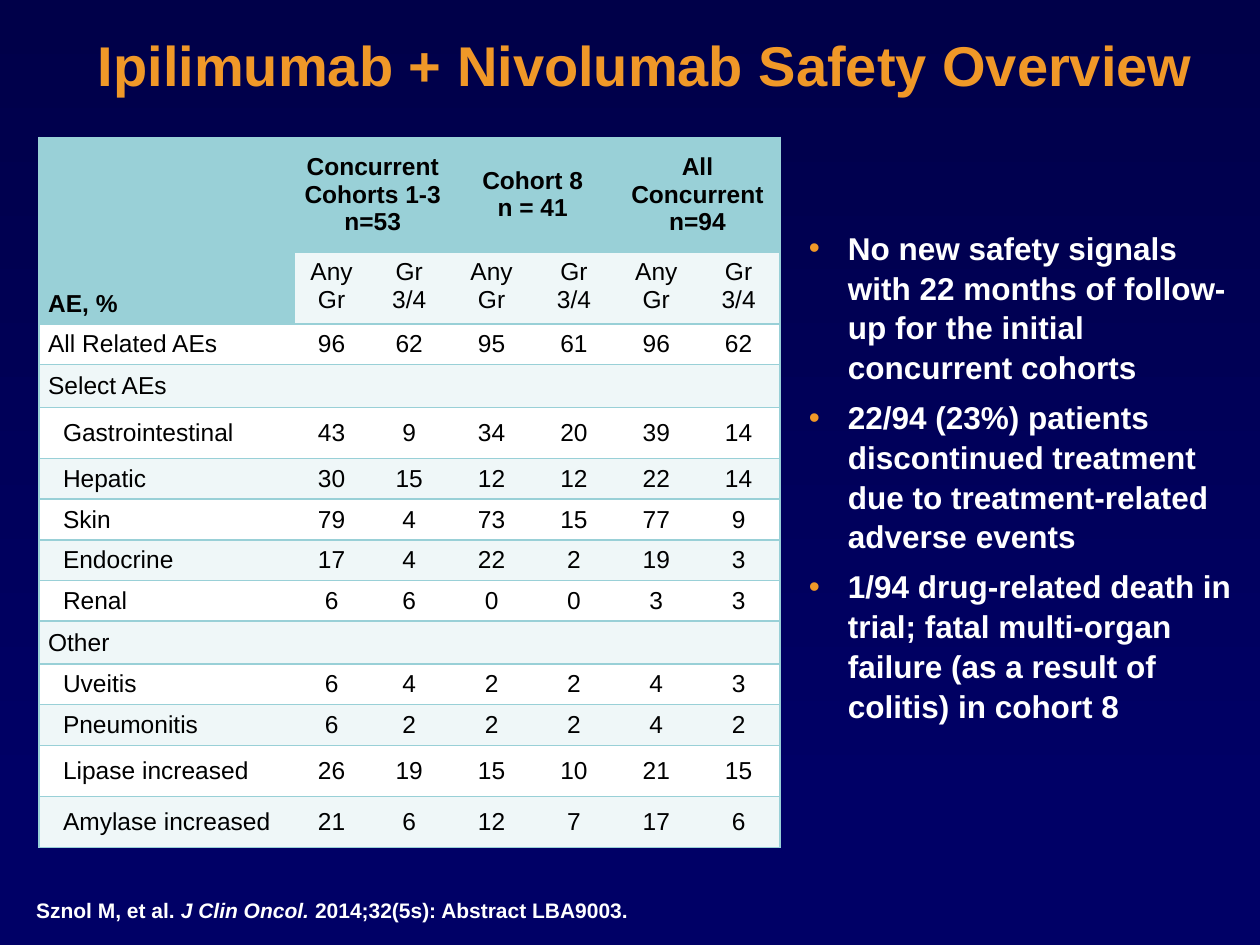
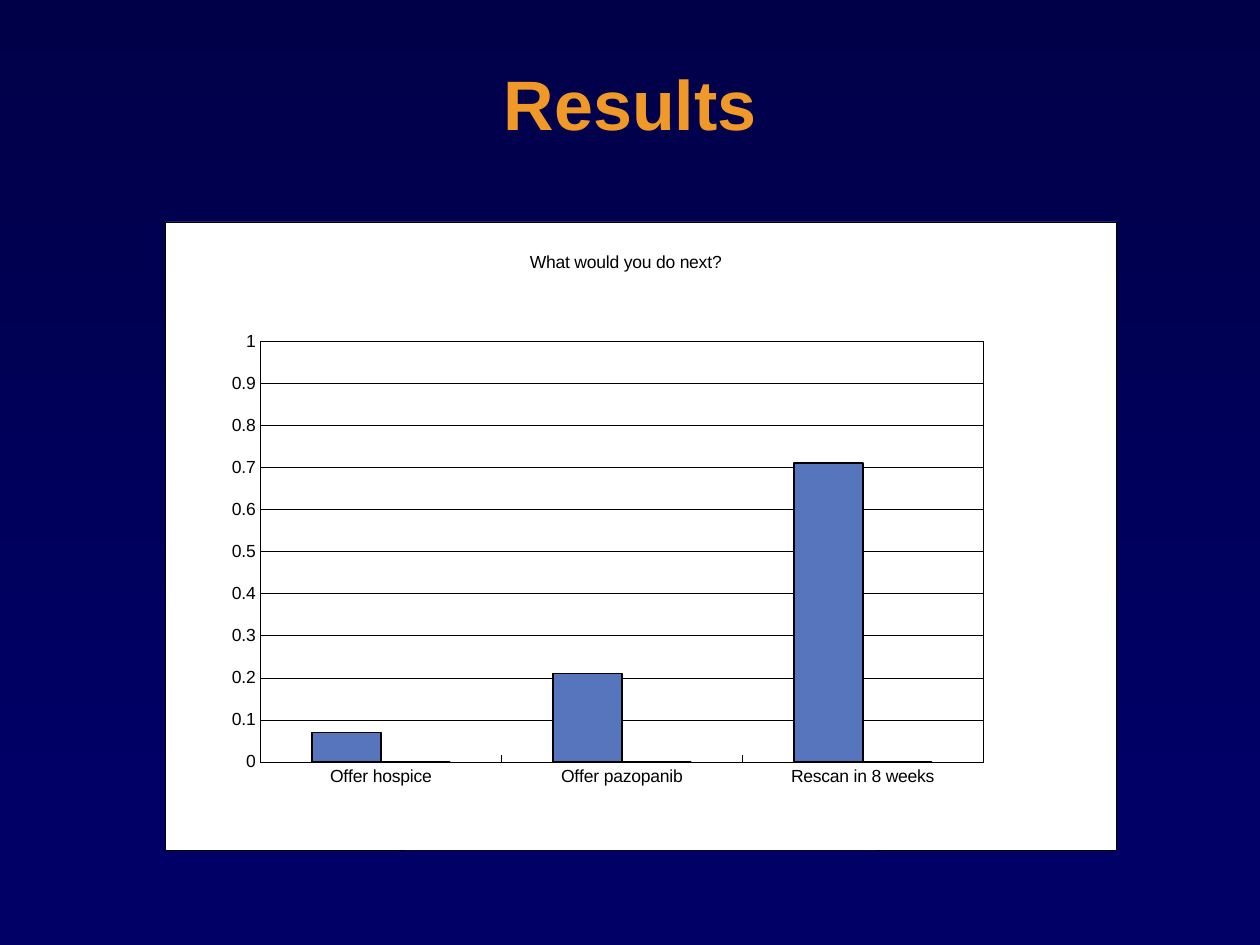
"""Build two slides: a safety table with key points, and a poll result chart."""
from dataclasses import dataclass
from pptx import Presentation
from pptx.chart.data import CategoryChartData
from pptx.dml.color import RGBColor
from pptx.enum.chart import XL_CHART_TYPE, XL_TICK_MARK
from pptx.enum.shapes import MSO_SHAPE
from pptx.enum.text import MSO_ANCHOR, MSO_AUTO_SIZE, PP_ALIGN
from pptx.oxml import parse_xml
from pptx.oxml.ns import nsdecls, qn
from pptx.util import Cm, Pt

CENTER, LEFT = PP_ALIGN.CENTER, PP_ALIGN.LEFT
TOP, MIDDLE, BOTTOM = MSO_ANCHOR.TOP, MSO_ANCHOR.MIDDLE, MSO_ANCHOR.BOTTOM
NO_FIT = MSO_AUTO_SIZE.NONE
COLUMN = XL_CHART_TYPE.COLUMN_CLUSTERED
INSIDE, NO_TICK = XL_TICK_MARK.INSIDE, XL_TICK_MARK.NONE
RECT = MSO_SHAPE.RECTANGLE


@dataclass(frozen=True)
class Theme:
    font: str = "Arial"
    navy: str = "000066"
    dark: str = "000049"
    gold: str = "F09828"
    white: str = "FFFFFF"
    black: str = "000000"
    teal: str = "99D0D7"
    pale: str = "EFF7F8"
    blue: str = "5775BD"
    green: str = "91C642"
    title: int = 32
    big: int = 40
    body: int = 18
    cell: int = 14
    cite: int = 12
    chart: int = 10


T = Theme()

SAFETY = "Ipilimumab + Nivolumab Safety Overview"
POINTS = [
    "No new safety signals with 22 months of follow-up for the initial concurrent cohorts",
    "22/94 (23%) patients discontinued treatment due to treatment-related adverse events",
    "1/94 drug-related death in trial; fatal multi-organ failure (as a result of colitis) in cohort 8",
]
CITE = [("Sznol M, et al. ", False), ("J Clin Oncol. ", True),
        ("2014;32(5s): Abstract LBA9003.", False)]
CORNER = "AE, %"
GROUPS = ["Concurrent\vCohorts 1-3\vn=53", "Cohort 8\vn = 41", "All Concurrent\vn=94"]
GRADES = ["Any Gr", "Gr 3/4"]
EVENTS = [
    ("All Related AEs", [96, 62, 95, 61, 96, 62]),
    ("Select AEs", []),
    ("Gastrointestinal", [43, 9, 34, 20, 39, 14]),
    ("Hepatic", [30, 15, 12, 12, 22, 14]),
    ("Skin", [79, 4, 73, 15, 77, 9]),
    ("Endocrine", [17, 4, 22, 2, 19, 3]),
    ("Renal", [6, 6, 0, 0, 3, 3]),
    ("Other", []),
    ("Uveitis", [6, 4, 2, 2, 4, 3]),
    ("Pneumonitis", [6, 2, 2, 2, 4, 2]),
    ("Lipase increased", [26, 19, 15, 10, 21, 15]),
    ("Amylase increased", [21, 6, 12, 7, 17, 6]),
]
FLUSH = {"All Related AEs", "Select AEs", "Other"}
TALL = {"Gastrointestinal", "Lipase increased", "Amylase increased"}

RESULTS = "Results"
POLL = "What would you do next?"
CHOICES = ["Offer hospice", "Offer pazopanib", "Rescan in 8 weeks"]
SERIES = [("Series 1", [0.07, 0.21, 0.71], T.blue), ("Series 2", [0, 0, 0], T.green)]

NO_GRID = "{2D5ABB26-0587-4C30-8999-92F81FD0307C}"


def rgb(code):
    return RGBColor.from_string(code)


def style(font, size, color, bold=False):
    font.name, font.size, font.bold = T.font, Pt(size), bold
    font.color.rgb = rgb(color)


def move(shape, box):
    shape.left, shape.top, shape.width, shape.height = map(Cm, box)


def solid(color):
    return f'<a:solidFill><a:srgbClr val="{color}"/></a:solidFill>'


def add_back(prs, slide):
    prs.slide_master.background.fill.solid()
    prs.slide_master.background.fill.fore_color.rgb = rgb(T.navy)
    band = slide.shapes.add_shape(RECT, 0, 0, prs.slide_width, Cm(16.3))
    band.shadow.inherit = False
    band.line.fill.background()
    band.fill.gradient()
    band.fill.gradient_angle = 270
    for stop, color in zip(band.fill.gradient_stops, (T.dark, T.navy)):
        stop.color.rgb = rgb(color)
    prs.slide_master.shapes._spTree.insert(2, band._element)


def set_title(slide, text, size, box):
    title = slide.shapes.title
    move(title, box)
    frame = title.text_frame
    frame.text = text
    frame.auto_size, frame.vertical_anchor = NO_FIT, MIDDLE
    para = frame.paragraphs[0]
    para.alignment, para.line_spacing = CENTER, 0.9
    run = para.runs[0]
    style(run.font, size, T.gold, True)
    run._r.rPr.find(qn("a:solidFill")).addnext(parse_xml(
        f'<a:effectLst {nsdecls("a")}><a:outerShdw dist="38100" dir="2700000">'
        f'<a:srgbClr val="{T.black}"/></a:outerShdw></a:effectLst>'))


def add_points(slide):
    body = slide.placeholders[1]
    move(body, (16.05, 4.45, 9.09, 8.89))
    frame = body.text_frame
    frame.text = "\n".join(POINTS)
    frame.auto_size, frame.vertical_anchor = NO_FIT, TOP
    for para in frame.paragraphs:
        props = para._p.get_or_add_pPr()
        props.set("marL", str(Cm(0.79)))
        props.set("indent", str(-Cm(0.79)))
        for xml in (f'<a:buClr {nsdecls("a")}><a:srgbClr val="{T.gold}"/></a:buClr>',
                    f'<a:buChar {nsdecls("a")} char="•"/>'):
            props.append(parse_xml(xml))
        para.space_before, para.space_after = Pt(0), Pt(6)
        para.line_spacing = 1.05
        style(para.runs[0].font, T.body, T.white, True)


def add_cite(slide):
    box = slide.shapes.add_textbox(*map(Cm, (0.48, 17.96, 16.69, 0.76)))
    box.text_frame.word_wrap = True
    para = box.text_frame.paragraphs[0]
    for text, slant in CITE:
        run = para.add_run()
        run.text = text
        style(run.font, T.cite, T.white, True)
        run.font.italic = slant


def set_cell(cell, text, fill, edges, align=CENTER, anchor=MIDDLE, bold=False, indent=0):
    cell.margin_left = cell.margin_right = Cm(0.18)
    cell.margin_top = cell.margin_bottom = Cm(0.13)
    cell.vertical_anchor = anchor
    for edge in edges:
        cell._tc.tcPr.append(parse_xml(
            f'<a:ln{edge} {nsdecls("a")} w="12700">{solid(T.teal)}</a:ln{edge}>'))
    cell.fill.solid()
    cell.fill.fore_color.rgb = rgb(fill)
    cell.text_frame.text = text
    para = cell.text_frame.paragraphs[0]
    para.alignment = align
    if indent:
        para._p.get_or_add_pPr().set("indent", str(Cm(indent)))
    for run in para.runs:
        style(run.font, T.cell, T.black, bold)
    if not text:
        para._p.append(parse_xml(f'<a:endParaRPr {nsdecls("a")} sz="{T.cell * 100}"/>'))


def add_table(slide):
    wide = [5.16, 1.47] + [1.66] * 5
    high = [2.31, 1.45] + [1.03 if name in TALL else 0.82 for name, _ in EVENTS]
    frame = slide.shapes.add_table(len(high), len(wide), Cm(0.79), Cm(2.77),
                                   Cm(sum(wide)), Cm(sum(high)))
    table = frame.table
    table.first_row = table.horz_banding = False
    table._tbl.tblPr.find(qn("a:tableStyleId")).text = NO_GRID
    for col, size in zip(table.columns, wide):
        col.width = Cm(size)
    for row, size in zip(table.rows, high):
        row.height = Cm(size)

    last = len(wide) - 1
    edges = ["LTB"] + ["TB"] * (last - 1) + ["RTB"]
    table.cell(0, 0).merge(table.cell(1, 0))
    set_cell(table.cell(0, 0), CORNER, T.teal, edges[0], LEFT, BOTTOM, True)
    for num, group in enumerate(GROUPS):
        col = 2 * num + 1
        table.cell(0, col).merge(table.cell(0, col + 1))
        set_cell(table.cell(0, col), group, T.teal, edges[col + 1], bold=True)
        for step, grade in enumerate(GRADES):
            set_cell(table.cell(1, col + step), grade, T.pale, edges[col + step], anchor=TOP)
    for num, (name, rates) in enumerate(EVENTS):
        fill = T.pale if num % 2 else T.white
        set_cell(table.cell(num + 2, 0), name, fill, edges[0], LEFT,
                 indent=0 if name in FLUSH else 0.3)
        for col, rate in enumerate(rates or [""] * last, 1):
            set_cell(table.cell(num + 2, col), str(rate), fill, edges[col])


def place(node, **parts):
    old = node.find(qn("c:layout"))
    tags = "".join(f'<c:{key} val="{val}"/>' for key, val in parts.items())
    new = parse_xml(f'<c:layout {nsdecls("c")}><c:manualLayout>{tags}'
                    '</c:manualLayout></c:layout>')
    if old is None:
        node.insert(0, new)
    else:
        node.replace(old, new)


def panel():
    return parse_xml(f'<c:spPr {nsdecls("c", "a")}>{solid(T.white)}'
                     f'<a:ln w="3175">{solid(T.black)}</a:ln></c:spPr>')


def draw(line, width):
    line.color.rgb = rgb(T.black)
    line.width = Pt(width)


def add_chart(slide):
    data = CategoryChartData()
    data.categories = CHOICES
    for name, vals, _ in SERIES:
        data.add_series(name, vals)
    chart = slide.shapes.add_chart(COLUMN, *map(Cm, (3.33, 4.47, 19.18, 12.67)), data).chart
    style(chart.font, T.chart, T.black)
    chart.has_legend = False
    chart.has_title = True
    head = chart.chart_title.text_frame
    head.text = POLL
    style(head.paragraphs[0].runs[0].font, T.chart, T.black)

    plot = chart.plots[0]
    plot.gap_width, plot.overlap, plot.vary_by_categories = 150, 0, False
    for series, (_, _, color) in zip(plot.series, SERIES):
        series.format.fill.solid()
        series.format.fill.fore_color.rgb = rgb(color)
        draw(series.format.line, 1)
    for axis in (chart.category_axis, chart.value_axis):
        axis.major_tick_mark, axis.minor_tick_mark = INSIDE, NO_TICK
        style(axis.tick_labels.font, T.chart, T.black)
        draw(axis.format.line, 0.25)
    scale = chart.value_axis
    scale.minimum_scale, scale.maximum_scale, scale.major_unit = 0, 1, 0.1
    scale.has_major_gridlines = True
    draw(scale.major_gridlines.format.line, 0.25)

    root = chart._chartSpace.find(qn("c:chart"))
    area = root.find(qn("c:plotArea"))
    place(root.find(qn("c:title")), xMode="edge", yMode="edge", x=0.38, y=0.04)
    place(area, layoutTarget="inner", xMode="edge", yMode="edge",
          x=0.1, y=0.19, w=0.76, h=0.67)
    area.append(panel())
    root.addnext(panel())


def main():
    prs = Presentation()
    prs.slide_width, prs.slide_height = Cm(25.4), Cm(19.05)

    safety = prs.slides.add_slide(prs.slide_layouts[1])
    add_back(prs, safety)
    set_title(safety, SAFETY, T.title, (1.24, 0.1, 23.55, 2.57))
    add_points(safety)
    add_table(safety)
    add_cite(safety)

    results = prs.slides.add_slide(prs.slide_layouts[5])
    set_title(results, RESULTS, T.big, (0.94, 0.58, 23.52, 3.18))
    add_chart(results)
    prs.save("out.pptx")


if __name__ == "__main__":
    main()
